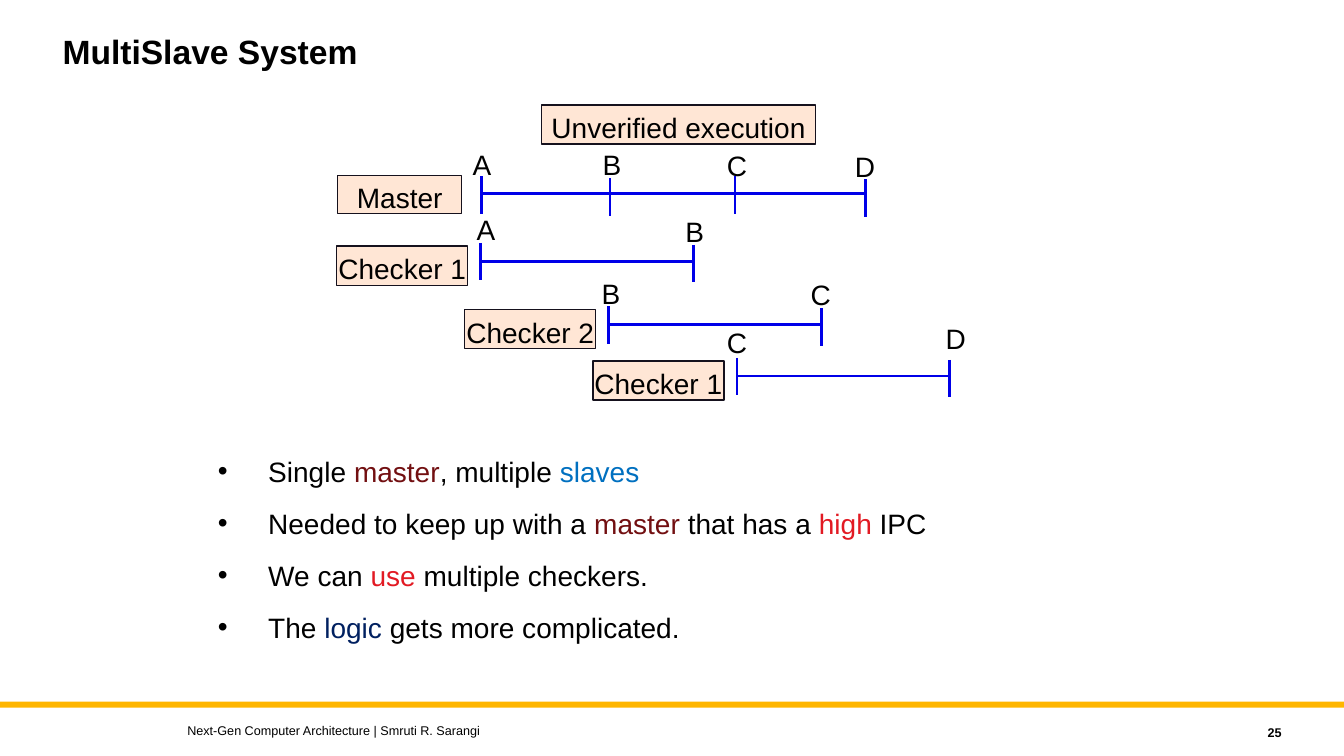
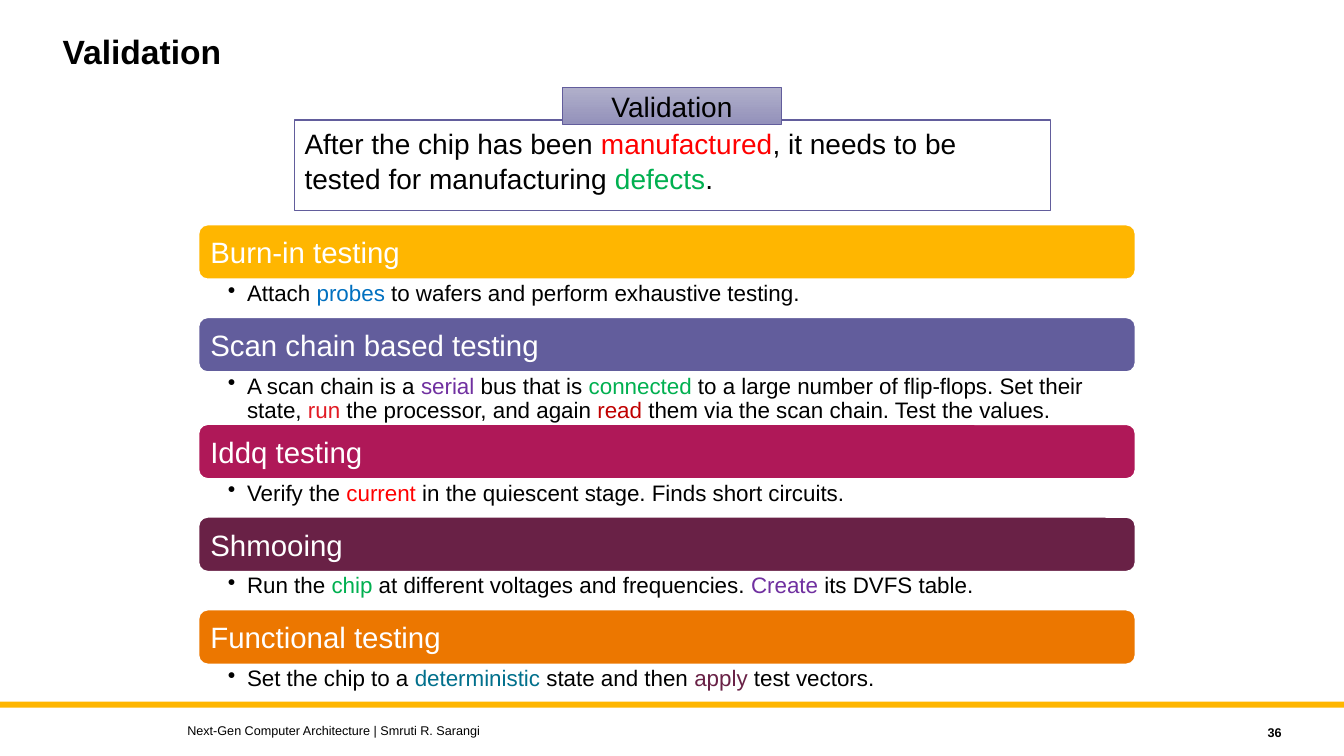
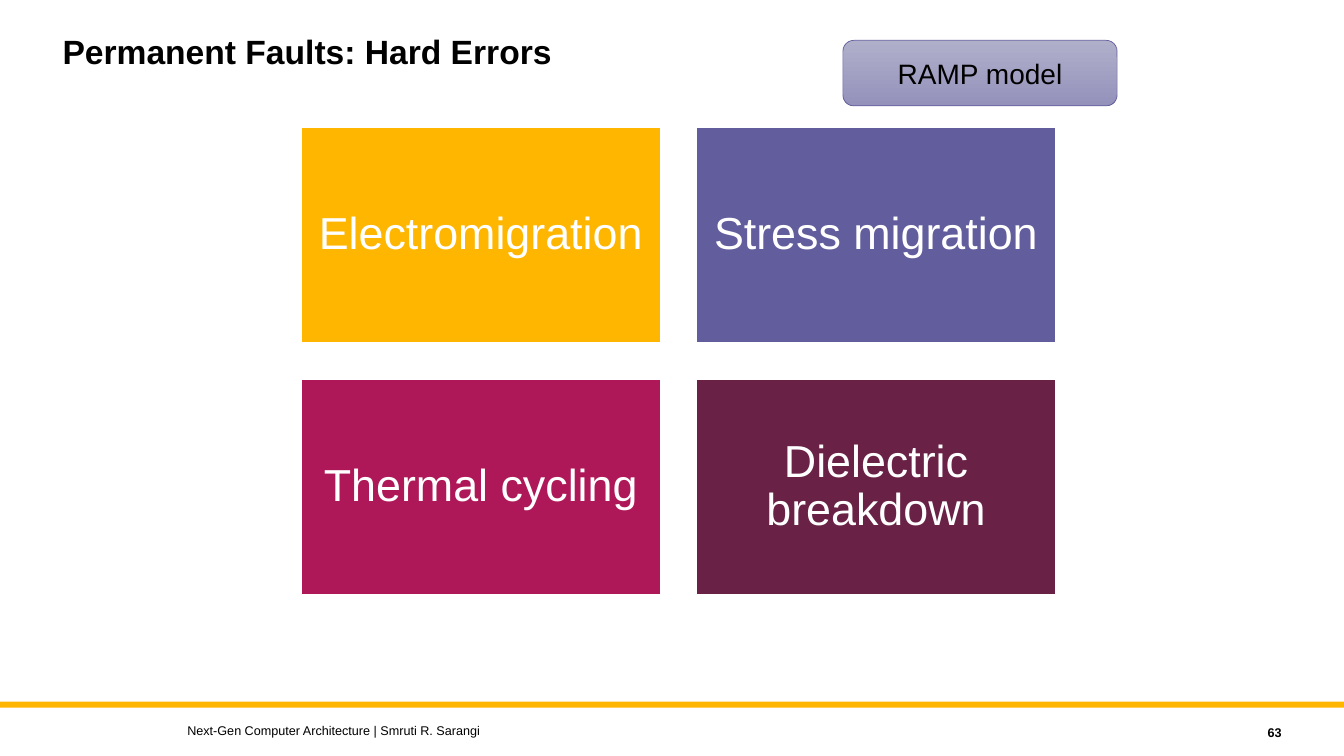
from pptx import Presentation
from pptx.dml.color import RGBColor
from pptx.enum.shapes import MSO_CONNECTOR as Connector, MSO_SHAPE as Shape
from pptx.enum.text import MSO_ANCHOR as Anchor, MSO_AUTO_SIZE as AutoSize, PP_ALIGN as Align
from pptx.oxml.ns import qn
from pptx.util import Inches, Pt
from lxml import etree

FONT = "Arial"
COLORS = {
    "black": "000000", "white": "FFFFFF", "gold": "FFB600", "violet": "625D9C",
    "magenta": "AF1858", "plum": "692146", "orange": "EC7700",
    "lilac": "B0AFCA", "dusk": "9492BB", "peach": "FFE6D5", "ink": "15111D",
    "timeline": "0000E8", "maroon": "720F11", "blue": "0070C0", "crimson": "E21A23",
    "navy": "002060", "red": "FF0000", "green": "00B050", "purple": "7030A0",
    "dark red": "C00000", "teal": "01708C",
}
RGB = {name: RGBColor.from_string(value) for name, value in COLORS.items()}


def write(paragraph, pieces, size, color="black", bullet=None, hang=0):
    """Add runs to a paragraph; a piece is plain text or a (text, colour) pair."""
    props = paragraph._p.get_or_add_pPr()
    props.set("marL", str(Inches(hang)))
    props.set("indent", str(-Inches(hang)))
    if bullet:
        etree.SubElement(props, qn("a:buChar"), char=bullet)
    else:
        etree.SubElement(props, qn("a:buNone"))
    paragraph.space_before = Pt(0)
    for piece in pieces:
        text, tint = (piece, color) if isinstance(piece, str) else piece
        run = paragraph.add_run()
        run.text = text
        run.font.name = FONT
        run.font.size = Pt(size)
        run.font.color.rgb = RGB[tint]


def add_box(slide, kind, place, fill, line, line_width, text, size, color="black",
            align=Align.CENTER, insets=(0, 0, 0, 0)):
    """Add a labelled shape; a pair of fill colours gives a vertical gradient."""
    box = slide.shapes.add_shape(kind, *map(Inches, place))
    box.shadow.inherit = False
    if isinstance(fill, tuple):
        box.fill.gradient()
        box.fill.gradient_angle = 270
        for stop, name in zip(box.fill.gradient_stops, fill):
            stop.color.rgb = RGB[name]
    else:
        box.fill.solid()
        box.fill.fore_color.rgb = RGB[fill]
    box.line.color.rgb = RGB[line]
    box.line.width = Pt(line_width)
    frame = box.text_frame
    frame.word_wrap = True
    frame.vertical_anchor = Anchor.MIDDLE
    frame.margin_left, frame.margin_top, frame.margin_right, frame.margin_bottom = map(Inches, insets)
    write(frame.paragraphs[0], [text], size, color)
    frame.paragraphs[0].alignment = align
    return box


prs = Presentation()
prs.slide_width, prs.slide_height = Inches(13.33), Inches(7.5)
CONTENT, TITLE_ONLY = prs.slide_layouts[1], prs.slide_layouts[5]

# Shared title, footer and page number
slides = []
for heading, number, layout in [
    ("MultiSlave System", "25", CONTENT),
    ("Validation", "36", CONTENT),
    ("Permanent Faults: Hard Errors", "63", TITLE_ONLY),
]:
    slide = prs.slides.add_slide(layout)
    slides.append(slide)
    title = slide.shapes.title
    title.left, title.top, title.width, title.height = map(Inches, (0.52, 0.3, 10, 0.9))
    title.text_frame.auto_size = AutoSize.NONE
    title.text_frame.vertical_anchor = Anchor.TOP
    paragraph = title.text_frame.paragraphs[0]
    write(paragraph, [heading], 24)
    paragraph.alignment = Align.LEFT
    paragraph.line_spacing = 0.9
    paragraph.runs[0].font.bold = True

    for text, place, align, bold in [
        ("Next-Gen Computer Architecture | Smruti R. Sarangi", (1.76, 7.12, 8, 0.25), Align.LEFT, False),
        (number, (11.41, 7.14, 1.4, 0.25), Align.RIGHT, True),
    ]:
        footer = slide.shapes.add_textbox(*map(Inches, place)).text_frame
        footer.word_wrap = True
        footer.vertical_anchor = Anchor.MIDDLE
        write(footer.paragraphs[0], [text], 9)
        footer.paragraphs[0].alignment = align
        footer.paragraphs[0].runs[0].font.bold = bold

multislave, validation, faults = slides

# The gold band belongs to the master, so every slide shows it
band = multislave.shapes.add_shape(Shape.RECTANGLE, 0, Inches(6.96), prs.slide_width, Inches(0.06))
band.shadow.inherit = False
band.fill.solid()
band.fill.fore_color.rgb = RGB["gold"]
band.line.fill.background()
prs.slide_master.shapes.element.append(band.element)

# Slide 1: execution timelines
TICK = 0.37
LETTER_WIDTH, LETTER_HEIGHT = 0.4, 0.44

for text, place in [
    ("Unverified execution", (5.37, 1.04, 2.72, 0.39)),
    ("Master", (3.35, 1.74, 1.23, 0.38)),
    ("Checker 1", (3.34, 2.44, 1.3, 0.39)),
    ("Checker 2", (4.61, 3.07, 1.3, 0.39)),
    ("Checker 1", (5.88, 3.58, 1.3, 0.39)),
]:
    label = add_box(multislave, Shape.RECTANGLE, place, "peach", "ink", 1, text, 20,
                    insets=(0, 0.06, 0, 0))
    label.text_frame.word_wrap = False

# Each mark: letter, tick x, tick top, letter centre, letter top
timelines = [
    (1.92, [("A", 4.78, 1.75, 4.78, 1.41), ("B", 6.05, 1.77, 6.07, 1.41),
            ("C", 7.29, 1.75, 7.31, 1.42), ("D", 8.58, 1.78, 8.58, 1.43)]),
    (2.59, [("A", 4.77, 2.41, 4.82, 2.06), ("B", 6.88, 2.43, 6.89, 2.08)]),
    (3.22, [("B", 6.04, 3.04, 6.06, 2.69), ("C", 8.15, 3.06, 8.14, 2.7)]),
    (3.73, [("C", 7.31, 3.55, 7.31, 3.18), ("D", 9.42, 3.57, 9.48, 3.14)]),
]
for axis, marks in timelines:
    strokes = [(marks[0][1], axis, marks[-1][1], axis)]
    for letter, x, top, center, letter_top in marks:
        strokes.append((x, top, x, top + TICK))
        caption = multislave.shapes.add_textbox(
            Inches(center - LETTER_WIDTH / 2), Inches(letter_top),
            Inches(LETTER_WIDTH), Inches(LETTER_HEIGHT)).text_frame
        caption.word_wrap = False
        write(caption.paragraphs[0], [letter], 20)
        caption.paragraphs[0].alignment = Align.CENTER
    for ends in strokes:
        stroke = multislave.shapes.add_connector(Connector.STRAIGHT, *map(Inches, ends))
        stroke.line.color.rgb = RGB["timeline"]
        stroke.line.width = Pt(2.1)
        etree.SubElement(stroke.element.spPr, qn("a:effectLst"))

points = multislave.placeholders[1]
points.left, points.top, points.width, points.height = map(Inches, (2.06, 4.44, 8.56, 2.16))
points.text_frame.auto_size = AutoSize.NONE
for index, pieces in enumerate([
    ["Single ", ("master", "maroon"), ", multiple ", ("slaves", "blue")],
    ["Needed to keep up with a ", ("master", "maroon"), " that has a ", ("high", "crimson"), " IPC"],
    ["We can ", ("use", "crimson"), " multiple checkers."],
    ["The ", ("logic", "navy"), " gets more complicated."],
]):
    frame = points.text_frame
    paragraph = frame.add_paragraph() if index else frame.paragraphs[0]
    write(paragraph, pieces, 20, bullet="•", hang=0.5)
    paragraph.line_spacing = 1.05
    if index:
        paragraph.space_before = Pt(12)

# Slide 2: definition and kinds of test
definition = validation.placeholders[1]
definition.left, definition.top, definition.width, definition.height = map(Inches, (2.92, 1.19, 7.5, 0.9))
definition.fill.solid()
definition.fill.fore_color.rgb = RGB["white"]
definition.line.color.rgb = RGB["violet"]
definition.line.width = Pt(1)
definition.text_frame.auto_size = AutoSize.NONE
paragraph = definition.text_frame.paragraphs[0]
write(paragraph, ["After the chip has been ", ("manufactured", "red"),
                  ", it needs to be tested for manufacturing ", ("defects", "green"), "."], 20)
paragraph.line_spacing = 1.05
add_box(validation, Shape.RECTANGLE, (5.58, 0.87, 2.17, 0.36), ("lilac", "dusk"), "violet", 0.5,
        "Validation", 20)

BAR_LEFT, BAR_WIDTH, BAR_HEIGHT = 1.97, 9.29, 0.54
top = 2.23
for name, fill, detail_height, pieces in [
    ("Burn-in testing", "gold", 0.38,
     ["Attach ", ("probes", "blue"), " to wafers and perform exhaustive testing."]),
    ("Scan chain based testing", "violet", 0.52,
     ["A scan chain is a ", ("serial", "purple"), " bus that is ", ("connected", "green"),
      " to a large number of flip-flops. Set their state, ", ("run", "crimson"),
      " the processor, and again ", ("read", "dark red"),
      " them via the scan chain. Test the values."]),
    ("Iddq testing", "magenta", 0.38,
     ["Verify the ", ("current", "red"), " in the quiescent stage. Finds short circuits."]),
    ("Shmooing", "plum", 0.38,
     ["Run the ", ("chip", "green"), " at different voltages and frequencies. ",
      ("Create", "purple"), " its DVFS table."]),
    ("Functional testing", "orange", 0.38,
     ["Set the chip to a ", ("deterministic", "teal"), " state and then ", ("apply", "plum"),
      " test vectors."]),
]:
    add_box(validation, Shape.ROUNDED_RECTANGLE, (BAR_LEFT, top, BAR_WIDTH, BAR_HEIGHT), fill,
            "white", 1, name, 21, "white", Align.LEFT, (0.09, 0.03, 0.09, 0.03))
    top += BAR_HEIGHT
    detail = validation.shapes.add_textbox(
        Inches(BAR_LEFT), Inches(top), Inches(BAR_WIDTH), Inches(detail_height)).text_frame
    detail.word_wrap = True
    detail.margin_left, detail.margin_right = Inches(0.29), Inches(0.16)
    detail.margin_top = detail.margin_bottom = Inches(0.03)
    write(detail.paragraphs[0], pieces, 16, bullet="•", hang=0.19)
    detail.paragraphs[0].line_spacing = 0.9
    top += detail_height

# Slide 3: grid of fault mechanisms
TILE_WIDTH, TILE_HEIGHT, GAP = 3.56, 2.14, 0.36
for index, (mechanism, fill) in enumerate([
    ("Electromigration", "gold"), ("Stress migration", "violet"),
    ("Thermal cycling", "magenta"), ("Dielectric breakdown", "plum"),
]):
    row, column = divmod(index, 2)
    place = (2.99 + column * (TILE_WIDTH + GAP), 1.26 + row * (TILE_HEIGHT + GAP),
             TILE_WIDTH, TILE_HEIGHT)
    tile = add_box(faults, Shape.RECTANGLE, place, fill, "white", 1, mechanism, 32, "white",
                   insets=(0.13, 0.13, 0.13, 0.13))
    tile.text_frame.paragraphs[0].line_spacing = 0.9
add_box(faults, Shape.ROUNDED_RECTANGLE, (8.36, 0.4, 2.72, 0.65), ("lilac", "dusk"), "violet", 0.5,
        "RAMP model", 20)

prs.save("out.pptx")
